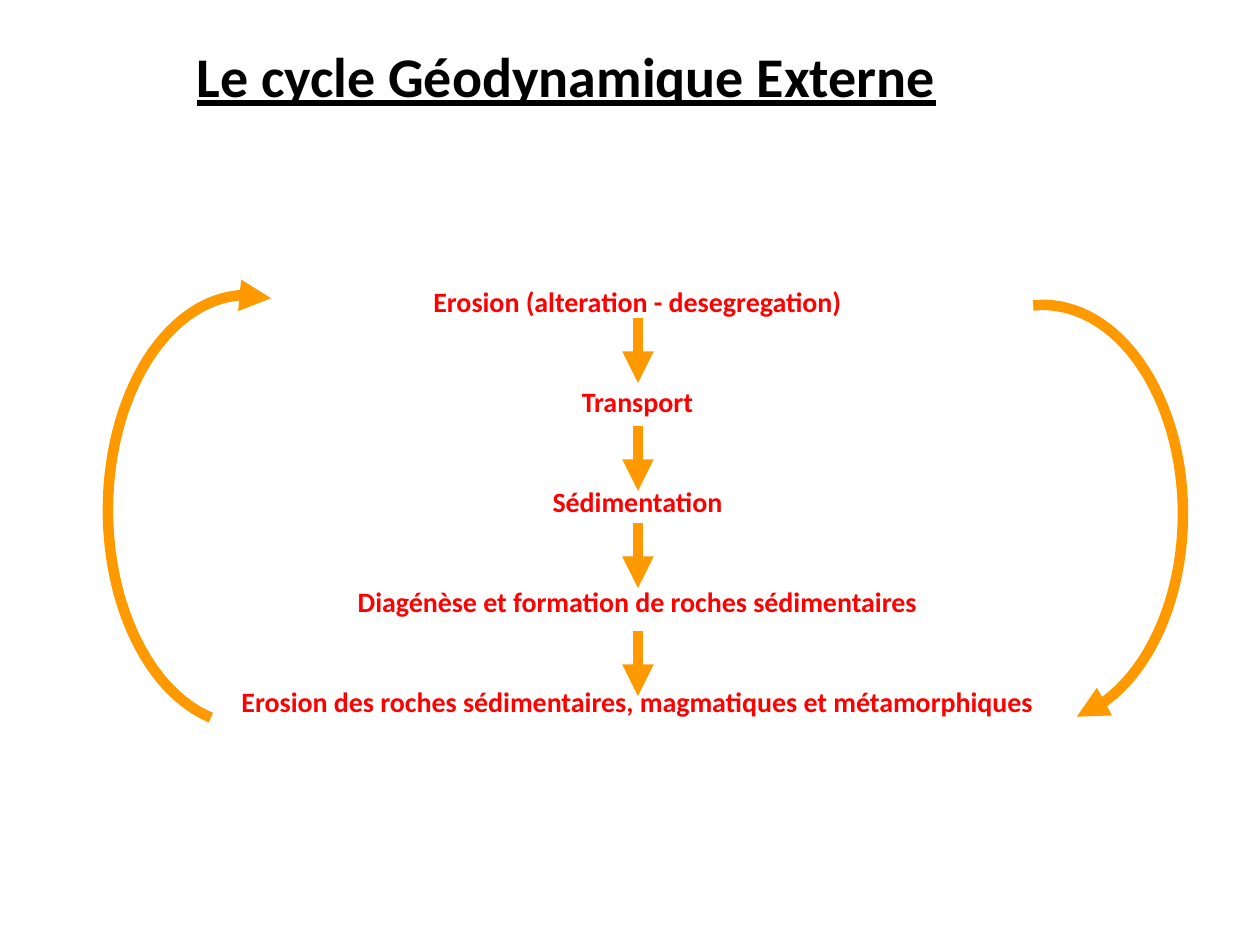
import math
from pptx import Presentation
from pptx import util as u
from pptx.dml.color import RGBColor
from pptx.enum import text
from pptx.enum.shapes import MSO_CONNECTOR
from pptx.oxml.ns import qn
from lxml import etree

PX = 914400 // 126
RED = RGBColor(0xFF, 0x00, 0x00)
ORANGE = RGBColor(0xFF, 0x99, 0x00)
BLACK = RGBColor(0x00, 0x00, 0x00)

TITLE = "Le cycle Géodynamique Externe"
STEPS = [
    "Erosion (alteration - desegregation)",
    "Transport",
    "Sédimentation",
    "Diagénèse et formation de roches sédimentaires",
    "Erosion des roches sédimentaires, magmatiques et métamorphiques",
]
ARROW_X, ARROW_LENGTH = 638, 65
ARROW_TOPS = [318, 426, 523, 631]
# centre x, centre y, radius x, radius y, angle at the head, angle at the end
ARCS = [
    (247, 510, 139, 215, -80, -255),
    (1043, 514, 140, 209, 76, -94),
]
ARC_POINTS = 60


def px(n):
    return u.Emu(round(n * PX))


def style_line(sp, end):
    sp.line.color.rgb = ORANGE
    sp.line.width = u.Pt(6)
    ln = sp.line._get_or_add_ln()
    etree.SubElement(ln, qn("a:" + end), type="triangle")


def set_frame(tf, spacing):
    tf.word_wrap = False
    tf.auto_size = text.MSO_AUTO_SIZE.SHAPE_TO_FIT_TEXT
    tf.vertical_anchor = text.MSO_ANCHOR.TOP
    tf.paragraphs[0].line_spacing = spacing


def add_run(p, words, size, color):
    r = p.add_run()
    r.text = words
    r.font.name = "Calibri"
    r.font.size = u.Pt(size)
    r.font.bold = True
    r.font.color.rgb = color
    return r


def add_title(s):
    sp = s.shapes.title
    sp.left, sp.top, sp.width, sp.height = map(px, (184, 40, 770, 77))
    set_frame(sp.text_frame, 0.95)
    p = sp.text_frame.paragraphs[0]
    p.alignment = text.PP_ALIGN.LEFT
    add_run(p, TITLE, 32, BLACK).font.underline = True


def add_steps(s):
    tf = s.shapes.add_textbox(*map(px, (224, 281, 827, 451))).text_frame
    set_frame(tf, 0.93)
    for i, step in enumerate(STEPS):
        p = tf.add_paragraph() if i else tf.paragraphs[0]
        p.alignment = text.PP_ALIGN.CENTER
        p.line_spacing = 0.93
        if i:
            p.space_before = u.Pt(39.4)
        add_run(p, step, 16, RED)


def add_arc(s, cx, cy, rx, ry, first, last):
    angles = [math.radians(first + (last - first) * i / ARC_POINTS)
              for i in range(ARC_POINTS + 1)]
    points = [(px(cx + rx * math.cos(a)), px(cy + ry * math.sin(a))) for a in angles]
    fb = s.shapes.build_freeform(*points[0])
    fb.add_line_segments(points[1:], close=False)
    sp = fb.convert_to_shape()
    sp.shadow.inherit = False
    sp.fill.background()
    style_line(sp, "headEnd")


def add_arrow(s, top):
    sp = s.shapes.add_connector(MSO_CONNECTOR.STRAIGHT, px(ARROW_X), px(top),
                                px(ARROW_X), px(top + ARROW_LENGTH))
    style_line(sp, "tailEnd")
    etree.SubElement(sp._element.spPr, qn("a:effectLst"))


def main():
    prs = Presentation()
    prs.slide_width, prs.slide_height = u.Inches(10), u.Inches(7.5)
    s = prs.slides.add_slide(prs.slide_layouts[5])
    add_title(s)
    add_steps(s)
    for arc in ARCS:
        add_arc(s, *arc)
    for top in ARROW_TOPS:
        add_arrow(s, top)
    prs.save("out.pptx")


if __name__ == "__main__":
    main()
